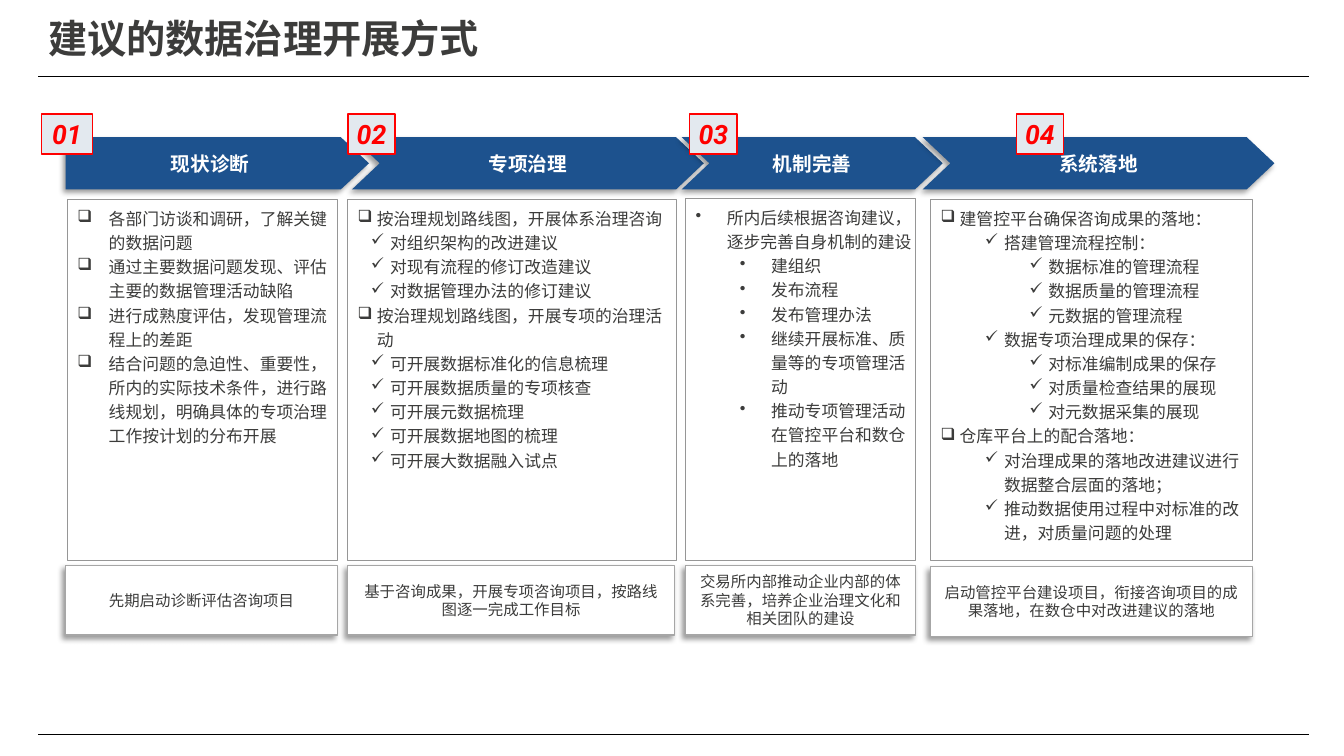
from lxml import etree
from pptx import Presentation
from pptx import util as u
from pptx.dml.color import RGBColor
from pptx.enum import shapes, text
from pptx.oxml.ns import qn

PX = 9144  # 100 px to the inch
NAVY = RGBColor(0x1D, 0x52, 0x8E)
INK = RGBColor(0x3C, 0x3C, 0x3B)
WHITE = RGBColor(0xFF, 0xFF, 0xFF)
BLACK = RGBColor(0, 0, 0)
RED = RGBColor(0xFF, 0, 0)
PALE = RGBColor(0xE3, 0xE9, 0xEF)
GREY = RGBColor(0x96, 0x96, 0x96)
SILVER = RGBColor(0xA6, 0xA6, 0xA6)
HAN, LATIN = "Noto Sans CJK SC", "Roboto"

TITLE = "建议的数据治理开展方式"
RULES = (76, 729)
RULE_X = (38, 1298)

# head; arrow, panel, note and tag boxes; first indent, hang, step; bullets; note; items
STEPS = [
    dict(head="现状诊断", arrow=(65, 301), panel=(67, 198, 268, 358),
         note=(65, 561, 270), tag=(41, 51), first=31, hang=31, step=0, marks="❑",
         goal="先期启动诊断评估咨询项目",
         items=[(0, "各部门访谈和调研，了解关键的数据问题"),
                (0, "通过主要数据问题发现、评估主要的数据管理活动缺陷"),
                (0, "进行成熟度评估，发现管理流程上的差距"),
                (0, "结合问题的急迫性、重要性，所内的实际技术条件，进行路线规划，"
                    "明确具体的专项治理工作按计划的分布开展")]),
    dict(head="专项治理", arrow=(349, 349), panel=(345, 198, 326, 358),
         note=(345, 561, 324), tag=(345, 47), first=19, hang=19, step=13, marks="❑✓",
         goal="基于咨询成果，开展专项咨询项目，按路线图逐一完成工作目标",
         items=[(0, "按治理规划路线图，开展体系治理咨询"),
                (1, "对组织架构的改进建议"),
                (1, "对现有流程的修订改造建议"),
                (1, "对数据管理办法的修订建议"),
                (0, "按治理规划路线图，开展专项的治理活动"),
                (1, "可开展数据标准化的信息梳理"),
                (1, "可开展数据质量的专项核查"),
                (1, "可开展元数据梳理"),
                (1, "可开展数据地图的梳理"),
                (1, "可开展大数据融入试点")]),
    dict(head="机制完善", arrow=(676, 259), panel=(680, 197, 228, 359),
         note=(680, 561, 228), tag=(684, 47), first=31, hang=31, step=44, marks="••",
         goal="交易所内部推动企业内部的体系完善，培养企业治理文化和相关团队的建设",
         items=[(0, "所内后续根据咨询建议，逐步完善自身机制的建设"),
                (1, "建组织"),
                (1, "发布流程"),
                (1, "发布管理办法"),
                (1, "继续开展标准、质量等的专项管理活动"),
                (1, "推动专项管理活动在管控平台和数仓上的落地")]),
    dict(head="系统落地", arrow=(915, 349), panel=(923, 198, 319, 358),
         note=(923, 562, 319), tag=(1008, 47), first=19, hang=19, step=44, marks="❑✓✓",
         goal="启动管控平台建设项目，衔接咨询项目的成果落地，在数仓中对改进建议的落地",
         items=[(0, "建管控平台确保咨询成果的落地："),
                (1, "搭建管理流程控制："),
                (2, "数据标准的管理流程"),
                (2, "数据质量的管理流程"),
                (2, "元数据的管理流程"),
                (1, "数据专项治理成果的保存："),
                (2, "对标准编制成果的保存"),
                (2, "对质量检查结果的展现"),
                (2, "对元数据采集的展现"),
                (0, "仓库平台上的配合落地："),
                (1, "对治理成果的落地改进建议进行数据整合层面的落地；"),
                (1, "推动数据使用过程中对标准的改进，对质量问题的处理")]),
]

KIND = shapes.MSO_SHAPE
MID, TOP = text.MSO_ANCHOR.MIDDLE, text.MSO_ANCHOR.TOP
CENTER, LEFT = text.PP_ALIGN.CENTER, text.PP_ALIGN.LEFT

LOOKS = {
    "title": dict(size=28, bold=True, ink=INK, pad=(10, 5, 10, 5), anchor=MID, align=LEFT),
    "arrow": dict(size=14, bold=True, ink=WHITE, fill=NAVY, shade=True,
                  pad=(0, 10, 0, 10), anchor=MID, align=CENTER),
    "note": dict(size=11, ink=INK, fill=WHITE, line=(SILVER, 0.75), shade=True,
                 pad=(10, 5, 10, 5), anchor=MID, align=CENTER),
    "panel": dict(size=12, ink=INK, line=(GREY, 0.75), pad=(10, 5, 2, 5),
                  anchor=TOP, align=LEFT),
    "tag": dict(size=19, bold=True, italic=True, ink=RED, face=LATIN, fill=PALE,
                line=(RED, 1), pad=(7, 4, 7, 4), anchor=TOP, align=CENTER,
                wrap=False, fit=text.MSO_AUTO_SIZE.SHAPE_TO_FIT_TEXT),
}


def shade(shape):
    """Give the shape a soft black shadow to the lower left."""
    glow = shape._element.spPr.find(qn("a:effectLst"))
    cast = etree.SubElement(glow, qn("a:outerShdw"), blurRad=str(u.Pt(4)),
                            dist=str(u.Pt(3)), dir=str(135 * 60000),
                            algn="tr", rotWithShape="0")
    tint = etree.SubElement(cast, qn("a:srgbClr"), val="000000")
    etree.SubElement(tint, qn("a:alpha"), val="40000")


def style(para, look):
    para.alignment = look["align"]
    for run in para.runs:
        font = run.font
        face = look.get("face", HAN)
        for key, val in dict(name=face, size=u.Pt(look["size"]),
                             bold=look.get("bold", False),
                             italic=look.get("italic", False)).items():
            setattr(font, key, val)
        font.color.rgb = look["ink"]
        east = etree.Element(qn("a:ea"), typeface=face)
        font._element.find(qn("a:latin")).addnext(east)


def write(shape, look, lines):
    frame = shape.text_frame
    for side, gap in zip(("left", "top", "right", "bottom"), look["pad"]):
        setattr(frame, "margin_" + side, gap * PX)
    for key, val in dict(word_wrap=look.get("wrap", True),
                         auto_size=look.get("fit", text.MSO_AUTO_SIZE.NONE),
                         vertical_anchor=look["anchor"]).items():
        setattr(frame, key, val)
    frame.text = "\n".join(lines)
    for para in frame.paragraphs:
        style(para, look)
    return frame.paragraphs


def draw(slide, kind, box, name, lines):
    look = LOOKS[name]
    shape = slide.shapes.add_shape(kind, *(n * PX for n in box))
    shape.shadow.inherit = False
    if "fill" in look:
        shape.fill.solid()
        shape.fill.fore_color.rgb = look["fill"]
    else:
        shape.fill.background()
    if "line" in look:
        shape.line.color.rgb, shape.line.width = look["line"][0], u.Pt(look["line"][1])
    else:
        shape.line.fill.background()
    if look.get("shade"):
        shade(shape)
    return shape, write(shape, look, lines)


def rule(slide, y):
    left, right = RULE_X
    line = slide.shapes.add_connector(shapes.MSO_CONNECTOR.STRAIGHT,
                                      left * PX, y * PX, right * PX, y * PX)
    line.line.color.rgb, line.line.width = BLACK, u.Pt(0.5)
    etree.SubElement(line._element.spPr, qn("a:effectLst"))


def indent(para, step, level):
    para.level = level
    para.line_spacing = 1.2
    props = para._p.get_or_add_pPr()
    props.set("marL", str((step["first"] + level * step["step"]) * PX))
    props.set("indent", str(-step["hang"] * PX))
    etree.SubElement(props, qn("a:buChar"), char=step["marks"][level])


def main():
    deck = Presentation()
    deck.slide_width, deck.slide_height = 1333 * PX, 750 * PX
    slide = deck.slides.add_slide(deck.slide_layouts[6])
    for y in RULES:
        rule(slide, y)
    title = slide.shapes.add_textbox(*(n * PX for n in (38, 0, 1259, 76)))
    write(title, LOOKS["title"], [TITLE])

    for num, step in enumerate(STEPS):
        x, wide = step["arrow"]
        kind, tip = (KIND.CHEVRON, 0.53) if num else (KIND.PENTAGON, 0.54)
        arrow, _ = draw(slide, kind, (x, 136, wide, 52), "arrow", [step["head"]])
        arrow.adjustments[0] = tip
    for step in STEPS:
        draw(slide, KIND.RECTANGLE, (*step["note"], 69), "note", [step["goal"]])
        levels, lines = zip(*step["items"])
        _, paras = draw(slide, KIND.RECTANGLE, step["panel"], "panel", lines)
        for para, level in zip(paras, levels):
            indent(para, step, level)
    for num, step in enumerate(STEPS, 1):
        x, wide = step["tag"]
        draw(slide, KIND.RECTANGLE, (x, 113, wide, 40), "tag", [f"{num:02}"])
    deck.save("out.pptx")


if __name__ == "__main__":
    main()
